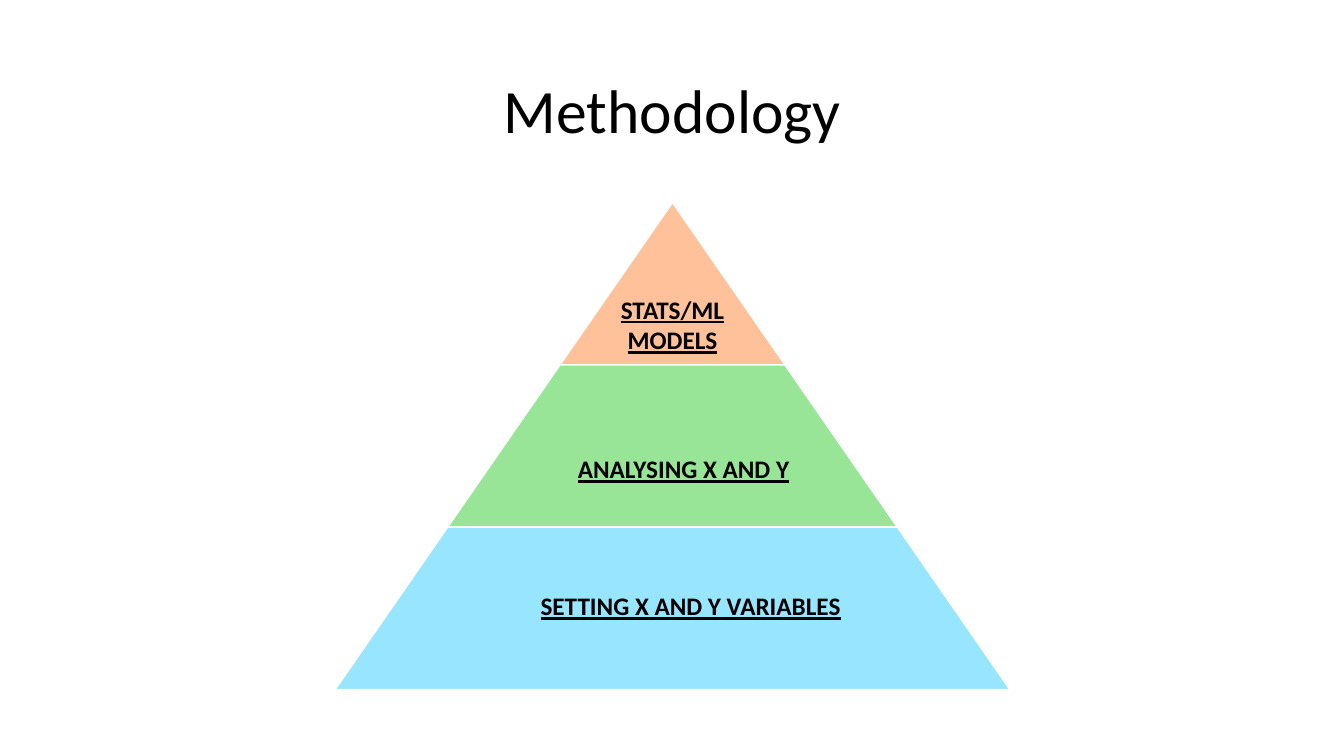
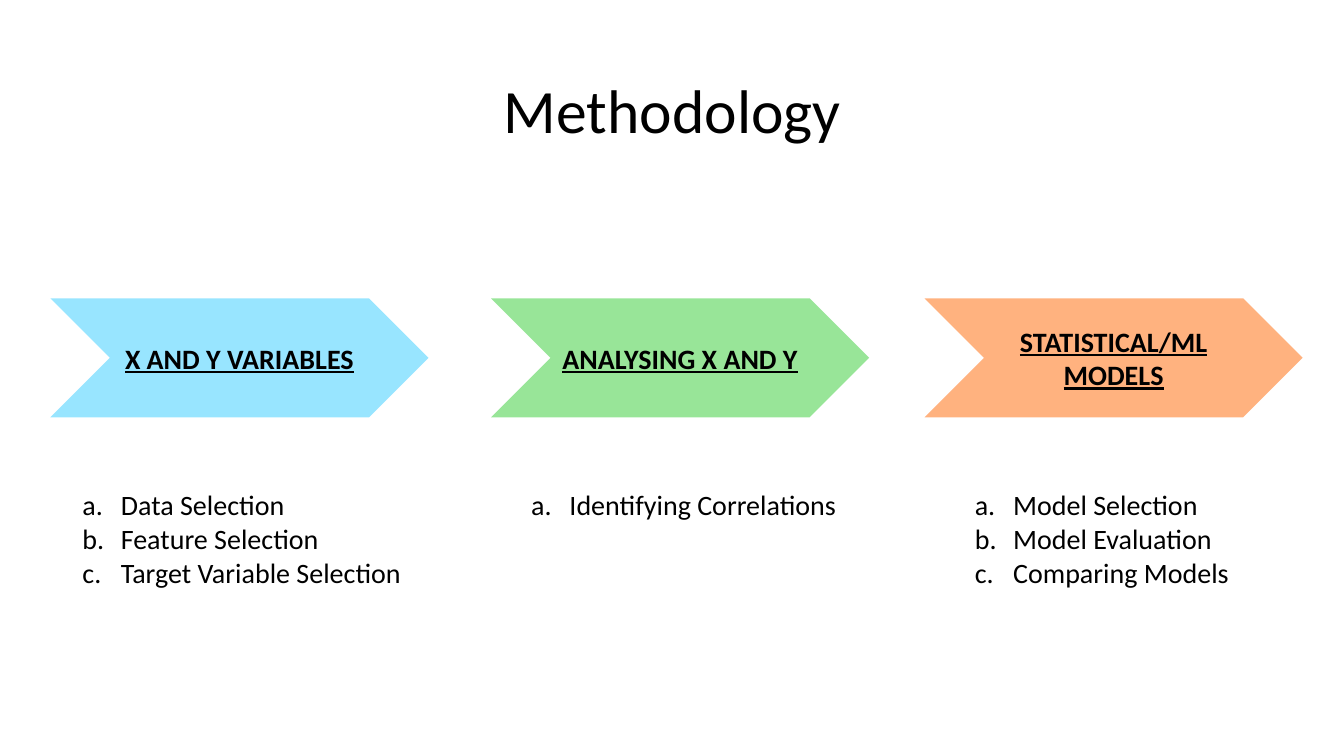
from lxml.etree import SubElement
from pptx import Presentation
from pptx.dml.color import RGBColor
from pptx.enum.shapes import MSO_SHAPE as Preset
from pptx.enum.text import MSO_ANCHOR as Anchor, PP_ALIGN as Align
from pptx.oxml.ns import qn
from pptx.util import Inches, Pt

# Shared style
BLACK = RGBColor(0x00, 0x00, 0x00)
WHITE = RGBColor(0xFF, 0xFF, 0xFF)
ORANGE = RGBColor(0xFF, 0x66, 0x00)
GREEN = RGBColor(0x33, 0xCC, 0x33)
BLUE = RGBColor(0x33, 0xCC, 0xFF)

BODY = {"name": "Calibri", "size": Pt(20)}
TITLE = BODY | {"size": Pt(44)}
HEADING = BODY | {"bold": True, "underline": True}
LEVEL_LABEL = HEADING | {"size": Pt(18)}

# Pyramid: colour, opacity in percent, label lines, label box
PYRAMID_LEVELS = [
    (ORANGE, 40, ["STATS/ML", "MODELS"], (5.94, 2.87, 1.46, 0.71)),
    (GREEN, 50, ["ANALYSING X AND Y"], (5.33, 4.45, 2.9, 0.4)),
    (BLUE, 50, ["SETTING X AND Y VARIABLES"], (4.85, 5.81, 4, 0.4)),
]
PYRAMID_CENTER, PYRAMID_TOP = 6.67, 2.01
LEVEL_HEIGHT, LEVEL_GROWTH = 1.61, 2.23

# Steps: colour, heading, list items, chevron left, list left
STEPS = [
    (BLUE, "X AND Y VARIABLES",
     ["Data Selection", "Feature Selection", "Target Variable Selection"], 0.5, 0.72),
    (GREEN, "ANALYSING X AND Y", ["Identifying Correlations"], 4.87, 5.17),
    (ORANGE, "STATISTICAL/ML MODELS",
     ["Model Selection", "Model Evaluation", "Comparing Models"], 9.17, 9.57),
]


def write_lines(text_frame, lines, style, alignment):
    """Write one paragraph per line and return the paragraphs."""
    text_frame.text = "\n".join(lines)
    for paragraph in text_frame.paragraphs:
        paragraph.alignment = alignment
        font = paragraph.runs[0].font
        font.color.rgb = BLACK
        for name, value in style.items():
            setattr(font, name, value)
    return text_frame.paragraphs


def add_titled_slide(presentation, title_text):
    slide = presentation.slides.add_slide(presentation.slide_layouts[5])
    title = slide.shapes.title
    box = {"left": 0.92, "top": 0.4, "width": 11.5, "height": 1.45}
    for name, value in box.items():
        setattr(title, name, Inches(value))
    title.text_frame.vertical_anchor = Anchor.MIDDLE
    paragraph, = write_lines(title.text_frame, [title_text], TITLE, Align.CENTER)
    paragraph.line_spacing = 0.9
    return slide


def add_tinted_shape(shapes, preset, box, color, opacity):
    shape = shapes.add_shape(preset, *map(Inches, box))
    shape.shadow.inherit = False
    shape.fill.solid()
    shape.fill.fore_color.rgb = color
    color_element = shape.fill._xPr.find(qn("a:solidFill"))[0]
    SubElement(color_element, qn("a:alpha"), val=str(opacity * 1000))
    shape.line.fill.background()
    return shape


def add_text(shapes, box, lines, style, alignment, wrap):
    text_box = shapes.add_textbox(*map(Inches, box))
    text_box.text_frame.word_wrap = wrap
    return write_lines(text_box.text_frame, lines, style, alignment)


def add_pyramid(slide):
    group = slide.shapes.add_group_shape()
    for index, (color, opacity, _, _) in enumerate(PYRAMID_LEVELS):
        width = LEVEL_GROWTH * (index + 1)
        box = (PYRAMID_CENTER - width / 2, PYRAMID_TOP + index * LEVEL_HEIGHT,
               width, LEVEL_HEIGHT)
        level = add_tinted_shape(group.shapes, Preset.TRAPEZOID, box, color, opacity)
        # Each side moves in by half the growth, so the levels line up
        level.adjustments[0] = LEVEL_GROWTH / 2 / LEVEL_HEIGHT
        level.line.color.rgb = WHITE
        level.line.width = Pt(1)
    for _, _, lines, box in PYRAMID_LEVELS:
        add_text(group.shapes, box, lines, LEVEL_LABEL, Align.CENTER, False)


def add_chevron(slide, left, color, heading):
    chevron = add_tinted_shape(slide.shapes, Preset.CHEVRON,
                               (left, 2.96, 3.75, 1.18), color, 50)
    chevron.text_frame.vertical_anchor = Anchor.MIDDLE
    write_lines(chevron.text_frame, [heading], HEADING, Align.CENTER)


def add_lettered_list(slide, left, items):
    box = (left, 4.79, 3.7, 0.1 + 0.34 * len(items))
    indent = Inches(0.38)
    for paragraph in add_text(slide.shapes, box, items, BODY, Align.LEFT, True):
        properties = paragraph._p.get_or_add_pPr()
        properties.set("marL", str(indent))
        properties.set("indent", str(-indent))
        SubElement(properties, qn("a:buFont"), typeface="+mj-lt")
        SubElement(properties, qn("a:buAutoNum"), type="alphaLcPeriod")


def main():
    presentation = Presentation()
    presentation.slide_width = Inches(13.33)
    presentation.slide_height = Inches(7.5)

    # Slide 1: pyramid
    add_pyramid(add_titled_slide(presentation, "Methodology"))

    # Slide 2: steps with their tasks
    slide = add_titled_slide(presentation, "Methodology")
    for color, heading, items, chevron_left, list_left in STEPS:
        add_chevron(slide, chevron_left, color, heading)
        add_lettered_list(slide, list_left, items)

    presentation.save("out.pptx")


if __name__ == "__main__":
    main()
